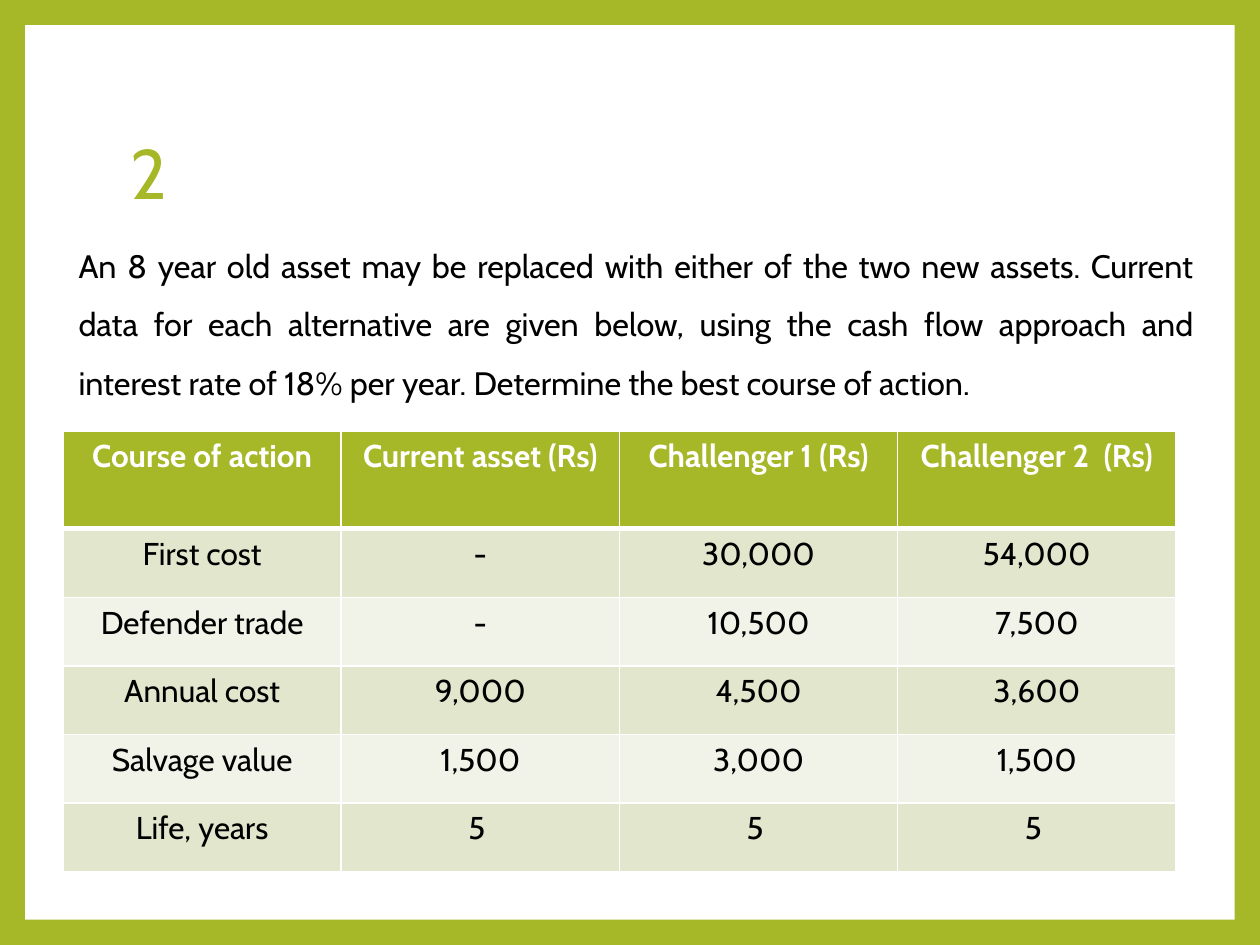
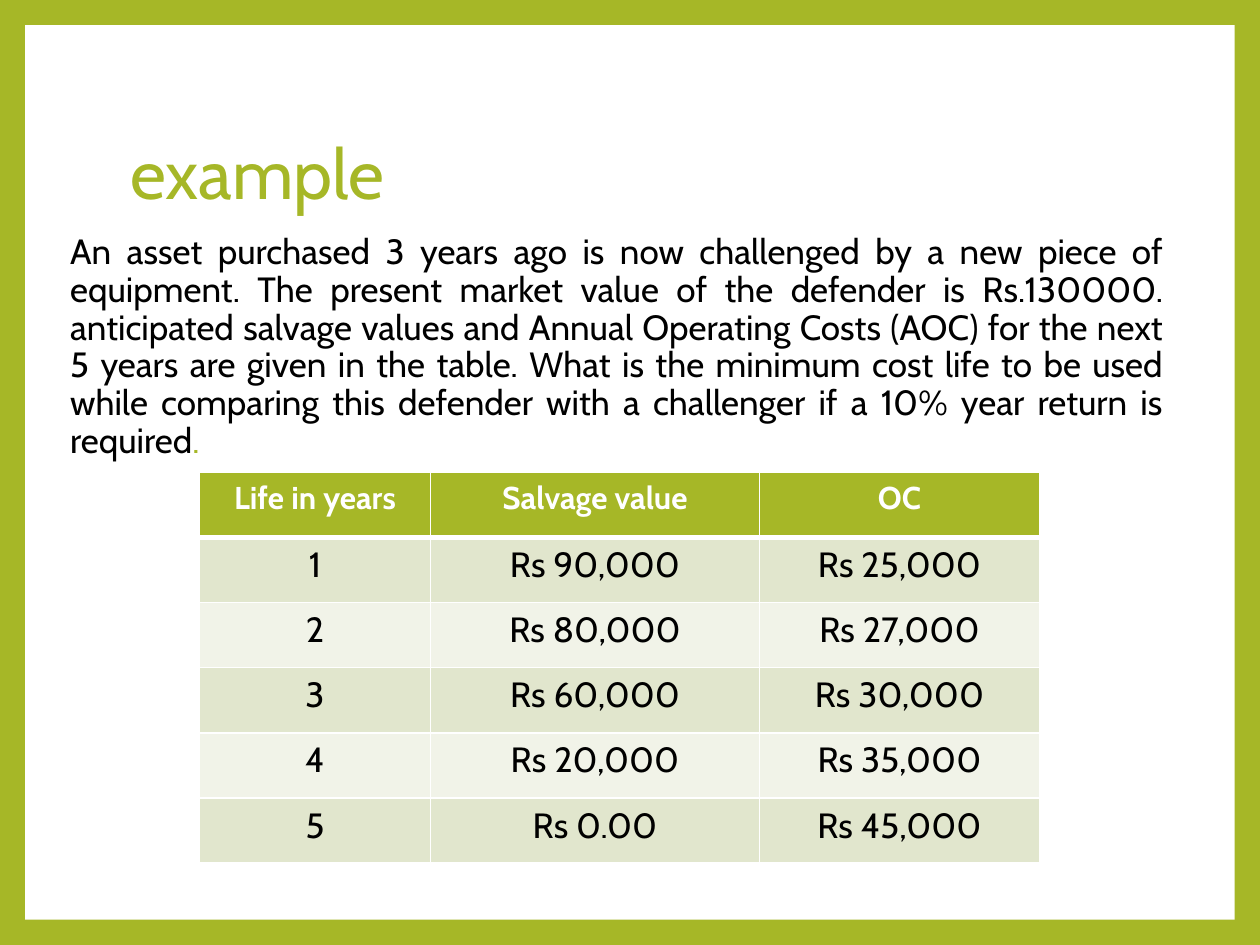
import pptx
import pptx.dml.color
import pptx.enum.shapes
import pptx.enum.text
import pptx.oxml
import pptx.oxml.ns
import pptx.util

Pt = pptx.util.Pt
ALIGN = pptx.enum.text.PP_ALIGN
ANCHOR = pptx.enum.text.MSO_ANCHOR


def rgb(value):
    return pptx.dml.color.RGBColor.from_string(value)


class Deck:
    FONT = "Cabin"
    GREEN, WHITE, BLACK = "A6B727", "FFFFFF", "000000"
    BANDS = ("E1E6CD", "F1F3E8")
    WIDTH, HEIGHT, MARGIN = 720, 540, 14.4

    def __init__(self):
        self.prs = pptx.Presentation()
        self.prs.slide_width = Pt(self.WIDTH)
        self.prs.slide_height = Pt(self.HEIGHT)
        self.s = None

    def style(self, font, size, color, bold=False):
        font.name, font.size, font.bold = self.FONT, Pt(size), bold
        font.color.rgb = rgb(color)

    def slide(self, title):
        """Add a green slide with a white panel and a title."""
        self.s = self.prs.slides.add_slide(self.prs.slide_layouts[6])
        fill = self.s.background.fill
        fill.solid()
        fill.fore_color.rgb = rgb(self.GREEN)
        m = self.MARGIN
        sp = self.s.shapes.add_shape(
            pptx.enum.shapes.MSO_SHAPE.RECTANGLE,
            Pt(m), Pt(m), Pt(self.WIDTH - 2 * m), Pt(self.HEIGHT - 2 * m))
        sp.shadow.inherit = False
        sp.fill.solid()
        sp.fill.fore_color.rgb = rgb(self.WHITE)
        sp.line.fill.background()
        p = self.text(67.5, 48, 583, 106.5, [(title, self.GREEN)], 40, 0.9)
        p.alignment = ALIGN.LEFT

    def text(self, x, y, w, h, runs, size, spacing, anchor=ANCHOR.MIDDLE):
        """Add a one-paragraph text box from (text, colour) runs."""
        tf = self.s.shapes.add_textbox(Pt(x), Pt(y), Pt(w), Pt(h)).text_frame
        tf.word_wrap = True
        tf.vertical_anchor = anchor
        p = tf.paragraphs[0]
        p.line_spacing = spacing
        for words, color in runs:
            r = p.add_run()
            r.text = words
            self.style(r.font, size, color)
        return p

    def body(self, x, y, w, h, runs, size, spacing):
        """Add a justified, slightly indented paragraph."""
        p = self.text(x, y, w, h, runs, size, spacing, ANCHOR.TOP)
        p.alignment = ALIGN.JUSTIFY
        pPr = p._p.get_or_add_pPr()
        pPr.set("marL", str(Pt(9)))
        pPr.set("indent", "0")

    def borders(self, cell, top, bottom):
        tcPr = cell._tc.get_or_add_tcPr()
        sides = (("lnL", 1), ("lnR", 1), ("lnT", top), ("lnB", bottom))
        for i, (tag, width) in enumerate(sides):
            tcPr.insert(i, pptx.oxml.parse_xml(
                f'<a:{tag} {pptx.oxml.ns.nsdecls("a")} w="{Pt(width)}">'
                f'<a:solidFill><a:srgbClr val="{self.WHITE}"/></a:solidFill>'
                f'</a:{tag}>'))

    def table(self, x, y, widths, head_height, row_height, rows, size):
        """Add a banded table whose first row is the header."""
        heights = [head_height] + [row_height] * (len(rows) - 1)
        table = self.s.shapes.add_table(
            len(rows), len(widths), Pt(x), Pt(y),
            Pt(sum(widths)), Pt(sum(heights))).table
        for column, width in zip(table.columns, widths):
            column.width = Pt(width)
        for i, (values, height) in enumerate(zip(rows, heights)):
            table.rows[i].height = Pt(height)
            head = i == 0
            for j, value in enumerate(values):
                cell = table.cell(i, j)
                cell.text = value
                cell.fill.solid()
                cell.fill.fore_color.rgb = rgb(
                    self.GREEN if head else self.BANDS[(i - 1) % 2])
                self.borders(cell, 3 if i == 1 else 1, 3 if head else 1)
                p = cell.text_frame.paragraphs[0]
                p.alignment = ALIGN.CENTER
                self.style(p.font, 18 if head else size,
                           self.WHITE if head else self.BLACK, head)


def main():
    deck = Deck()

    # Replacement with one of two challengers
    deck.slide("2")
    deck.body(28.8, 126, 660, 120, [(
        "An 8 year old asset may be replaced with either of the two new "
        "assets. Current data for each alternative are given below, using "
        "the cash flow approach and interest rate of 18% per year. "
        "Determine the best course of action.", deck.BLACK)], 18.5, 1.5)
    deck.table(36, 246.2, [159] * 4, 56, 39.2, [
        ("Course of action", "Current asset (Rs)", "Challenger 1 (Rs)",
         "Challenger 2  (Rs)"),
        ("First cost", "-", "30,000", "54,000"),
        ("Defender trade", "-", "10,500", "7,500"),
        ("Annual cost", "9,000", "4,500", "3,600"),
        ("Salvage value", "1,500", "3,000", "1,500"),
        ("Life, years", "5 ", "5 ", "5 "),
    ], 18)

    # Minimum cost life of the defender
    deck.slide("example")
    deck.body(24, 130.3, 648, 235, [
        ("An asset purchased 3 years ago is now challenged by a new piece "
         "of equipment. The present market value of the defender is "
         "Rs.130000. anticipated salvage values and Annual Operating Costs "
         "(AOC) for the next 5 years are given in the table. What is the "
         "minimum cost life to be used while comparing this defender with "
         "a challenger if a 10% year return is required", deck.BLACK),
        (".", deck.GREEN)], 20, 0.9)
    deck.table(114, 270, [132, 188, 160], 37.2, 37.2, [
        ("Life in years", "Salvage value", "OC"),
        ("1", "Rs 90,000", "Rs 25,000"),
        ("2", "Rs 80,000", "Rs 27,000"),
        ("3", "Rs 60,000", "Rs 30,000"),
        ("4", "Rs 20,000", "Rs 35,000"),
        ("5", "Rs 0.00", "Rs 45,000"),
    ], 20)

    deck.prs.save("out.pptx")


if __name__ == "__main__":
    main()
